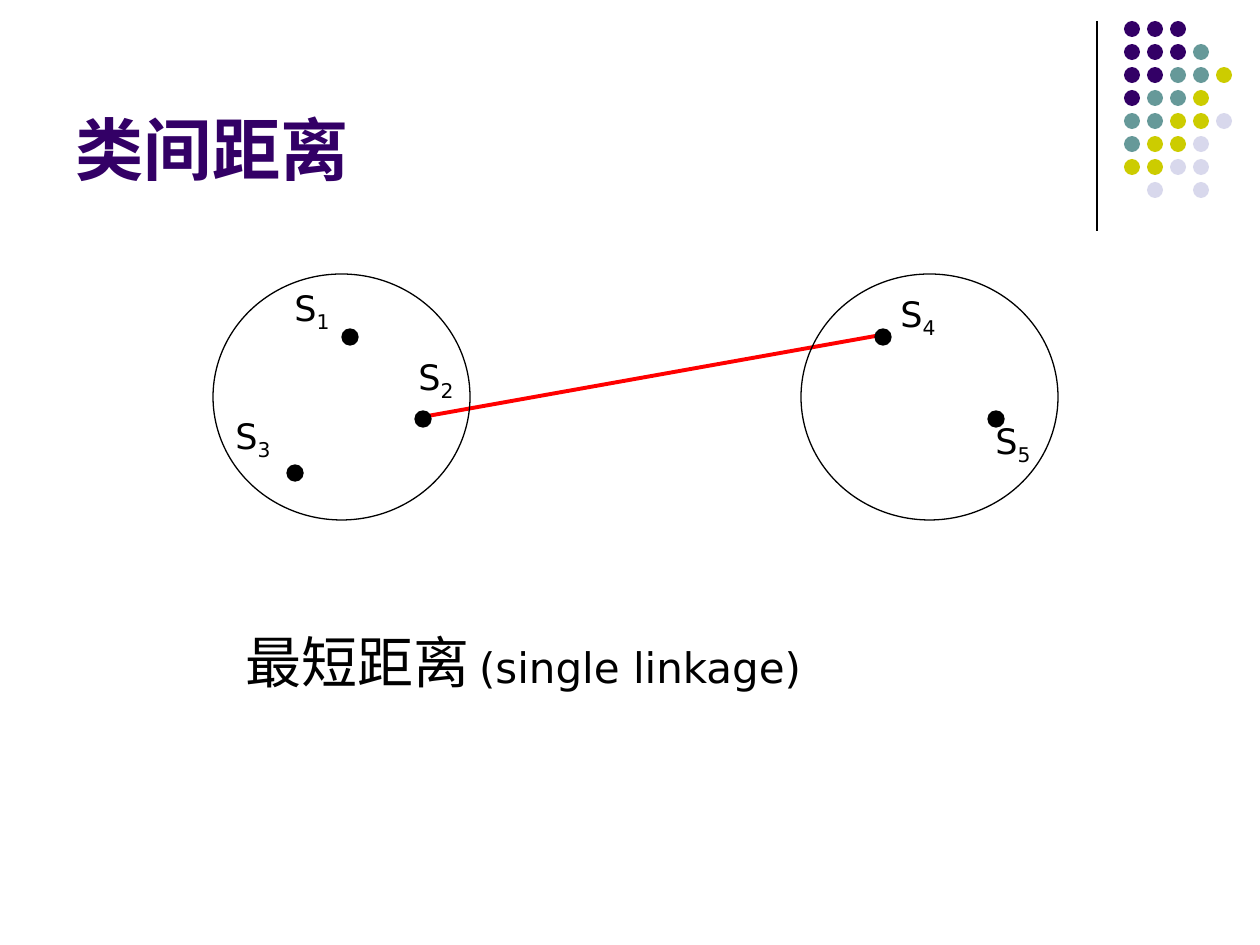
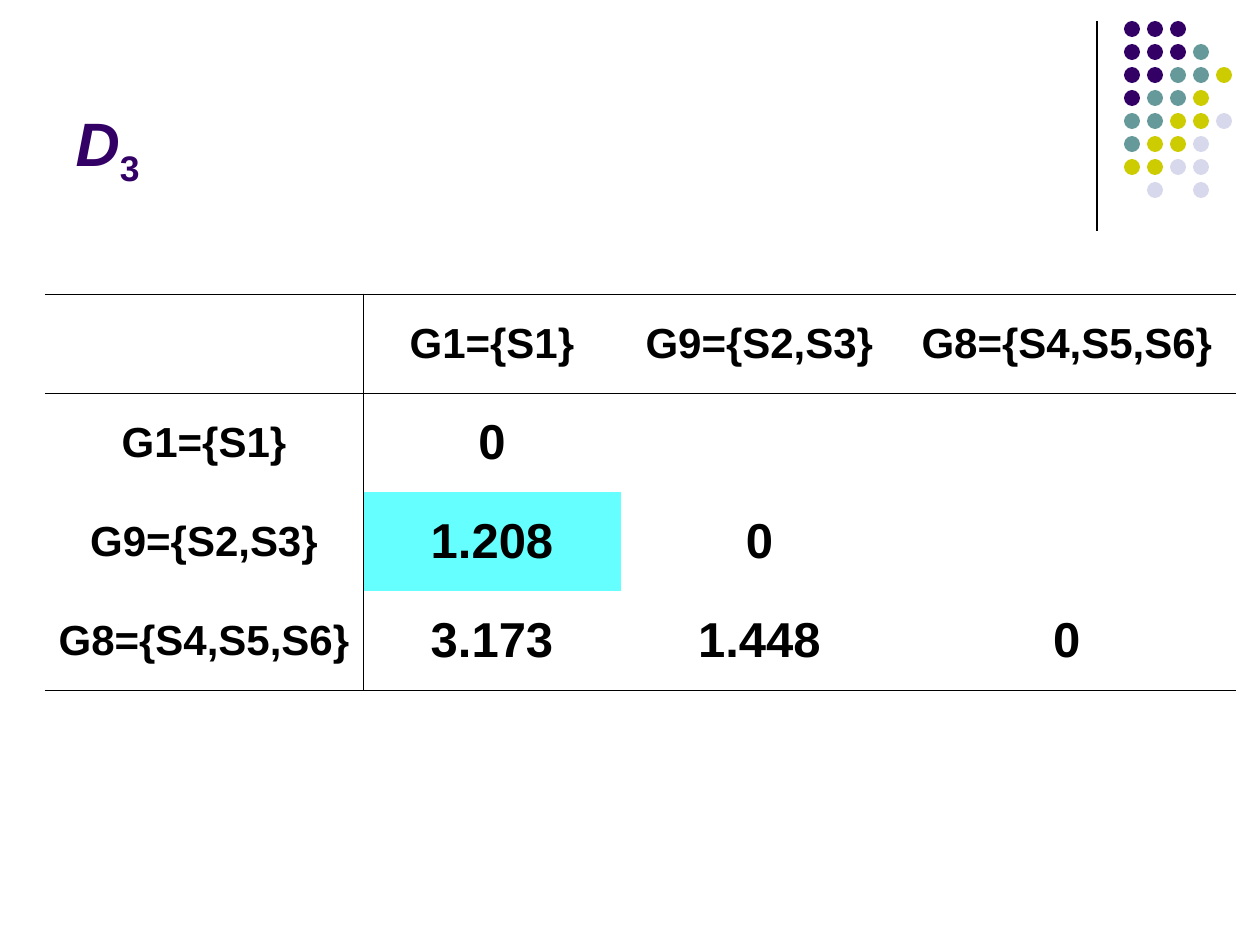
from dataclasses import dataclass

from lxml import etree
from pptx import Presentation
from pptx.dml.color import RGBColor as RGB
from pptx.enum.shapes import MSO_CONNECTOR as CONNECTOR, MSO_SHAPE as SHAPE
from pptx.enum.text import MSO_ANCHOR as ANCHOR, MSO_AUTO_SIZE as AUTO_SIZE, PP_ALIGN as ALIGN
from pptx.oxml.ns import qn
from pptx.util import Pt

PX = 914400 / 126  # EMU in one px


@dataclass(frozen=True)
class Theme:
    purple: RGB = RGB(0x33, 0x00, 0x66)
    teal: RGB = RGB(0x66, 0x99, 0x99)
    olive: RGB = RGB(0xCC, 0xCC, 0x00)
    lilac: RGB = RGB(0xD8, 0xD8, 0xEC)
    ink: RGB = RGB(0x00, 0x00, 0x00)
    link: RGB = RGB(0xFF, 0x00, 0x00)
    highlight: RGB = RGB(0x66, 0xFF, 0xFF)
    heading_font: str = "Arial"
    body_font: str = "DejaVu Sans"
    title: int = 39
    matrix_title: int = 35
    caption: int = 32
    caption_note: int = 24
    label: int = 20
    group: int = 24
    value: int = 28
    hairline: float = 0.75
    link_width: float = 2.25
    rule_width: float = 0.45


theme = Theme()


def add_ellipse(slide, left, top, width, height, fill=None, outline=None):
    ellipse = slide.shapes.add_shape(
        SHAPE.OVAL, *(round(n * PX) for n in (left, top, width, height)))
    ellipse.shadow.inherit = False
    if fill is None:
        ellipse.fill.background()
    else:
        ellipse.fill.solid()
        ellipse.fill.fore_color.rgb = fill
    if outline is None:
        ellipse.line.fill.background()
    else:
        ellipse.line.color.rgb = outline
        ellipse.line.width = Pt(theme.hairline)


def write(frame, text, size, font, colour, bold=False, subscript=""):
    paragraph = frame.paragraphs[0]
    paragraph.add_run().text = text
    if subscript:
        lowered = paragraph.add_run()
        lowered.text = subscript
        lowered._r.get_or_add_rPr().set("baseline", "-25000")
    paragraph.font.size = Pt(size)
    paragraph.font.name = font
    paragraph.font.bold = bold
    paragraph.font.color.rgb = colour
    return paragraph


deck = Presentation()
deck.slide_width, deck.slide_height = round(1260 * PX), round(945 * PX)
title_only = deck.slide_layouts[5]
linkage, matrix = (deck.slides.add_slide(title_only) for _ in range(2))

# Titles
for slide, text, subscript, size in (
    (linkage, "类间距离", "", theme.title),
    (matrix, "D", "3", theme.matrix_title),
):
    title = slide.shapes.title
    title.left, title.top, title.width, title.height = (
        round(n * PX) for n in (63, 16, 1040, 179))
    title.text_frame.auto_size = AUTO_SIZE.NONE
    title.text_frame.vertical_anchor = ANCHOR.BOTTOM
    heading = write(title.text_frame, text, size, theme.heading_font, theme.purple,
                    bold=True, subscript=subscript)
    heading.alignment = ALIGN.LEFT
    if subscript:
        heading.runs[0].font.italic = True

# Corner dots: one letter per dot colour, a space for a gap
dot_colours = {"P": theme.purple, "T": theme.teal, "O": theme.olive, "L": theme.lilac}
dot_rows = ("PPP", "PPPT", "PPTTO", "PTTO", "TTOOL", "TOOL", "OOLL", " L L")
for slide in (linkage, matrix):
    for row, letters in enumerate(dot_rows):
        for column, letter in enumerate(letters):
            if letter in dot_colours:
                add_ellipse(slide, 1124 + 23 * column, 21 + 23 * row, 16, 16,
                            fill=dot_colours[letter])

# Corner dividers and the link between the nearest points
for slide, start, end, colour, width in (
    (linkage, (1097, 21), (1097, 231), theme.ink, theme.hairline),
    (matrix, (1097, 21), (1097, 231), theme.ink, theme.hairline),
    (linkage, (422, 417), (881, 335), theme.link, theme.link_width),
):
    line = slide.shapes.add_connector(
        CONNECTOR.STRAIGHT, *(round(n * PX) for n in (*start, *end)))
    line.line.color.rgb = colour
    line.line.width = Pt(width)
    etree.SubElement(line._element.spPr, qn("a:effectLst"))

# Clusters
for cluster_left in (801, 213):
    add_ellipse(linkage, cluster_left, 274, 257, 246, outline=theme.ink)

# Sample points with their labels: number, point corner, label corner
for number, point, label_corner in (
    ("1", (342, 329), (282, 280)),
    ("2", (415, 411), (406, 349)),
    ("3", (287, 465), (223, 408)),
    ("4", (875, 329), (888, 286)),
    ("5", (988, 411), (983, 413)),
):
    add_ellipse(linkage, *point, 16, 16, fill=theme.ink, outline=theme.ink)
    label = linkage.shapes.add_textbox(*(round(n * PX) for n in (*label_corner, 79, 60)))
    label.text_frame.word_wrap = True
    write(label.text_frame, "S", theme.label, theme.body_font, theme.ink, subscript=number)

# Caption
caption = linkage.shapes.add_textbox(*(round(n * PX) for n in (233, 621, 684, 81)))
caption.text_frame.word_wrap = True
method = write(caption.text_frame, "最短距离", theme.caption, theme.body_font, theme.ink)
note = method.add_run()
note.text = " (single linkage)"
note.font.size = Pt(theme.caption_note)

# Distance matrix
groups = ("G1={S1}", "G9={S2,S3}", "G8={S4,S5,S6}")
distances = (("0", "", ""), ("1.208", "0", ""), ("3.173", "1.448", "0"))
cell_rows = [("", *groups)] + [(group, *row) for group, row in zip(groups, distances)]
column_widths = (318, 258, 277, 338)
row_height = 99
last_row = len(cell_rows) - 1

table = matrix.shapes.add_table(
    len(cell_rows), len(column_widths),
    *(round(n * PX) for n in (45, 294, sum(column_widths), row_height * len(cell_rows))),
).table
table.first_row = table.horz_banding = False
for column, width in zip(table.columns, column_widths):
    column.width = round(width * PX)

for r, texts in enumerate(cell_rows):
    table.rows[r].height = round(row_height * PX)
    for c, text in enumerate(texts):
        cell = table.cell(r, c)
        cell.vertical_anchor = ANCHOR.MIDDLE
        cell.margin_left = cell.margin_right = round(6 * PX)

        # Rules: above and below the header, below the last row, beside the first column
        ruled = {"lnL": c == 1, "lnR": c == 0, "lnT": r <= 1, "lnB": r in (0, last_row)}
        for side, drawn in ruled.items():
            border = etree.SubElement(cell._tc.get_or_add_tcPr(), qn(f"a:{side}"),
                                      w=str(Pt(theme.rule_width)))
            if drawn:
                paint = etree.SubElement(border, qn("a:solidFill"))
                etree.SubElement(paint, qn("a:srgbClr"), val=str(theme.ink))
            else:
                etree.SubElement(border, qn("a:noFill"))

        if text == "1.208":
            cell.fill.solid()
            cell.fill.fore_color.rgb = theme.highlight
        else:
            cell.fill.background()

        if text:
            size = theme.group if r == 0 or c == 0 else theme.value
            write(cell.text_frame, text, size, theme.heading_font, theme.ink,
                  bold=True).alignment = ALIGN.CENTER

deck.save("out.pptx")
